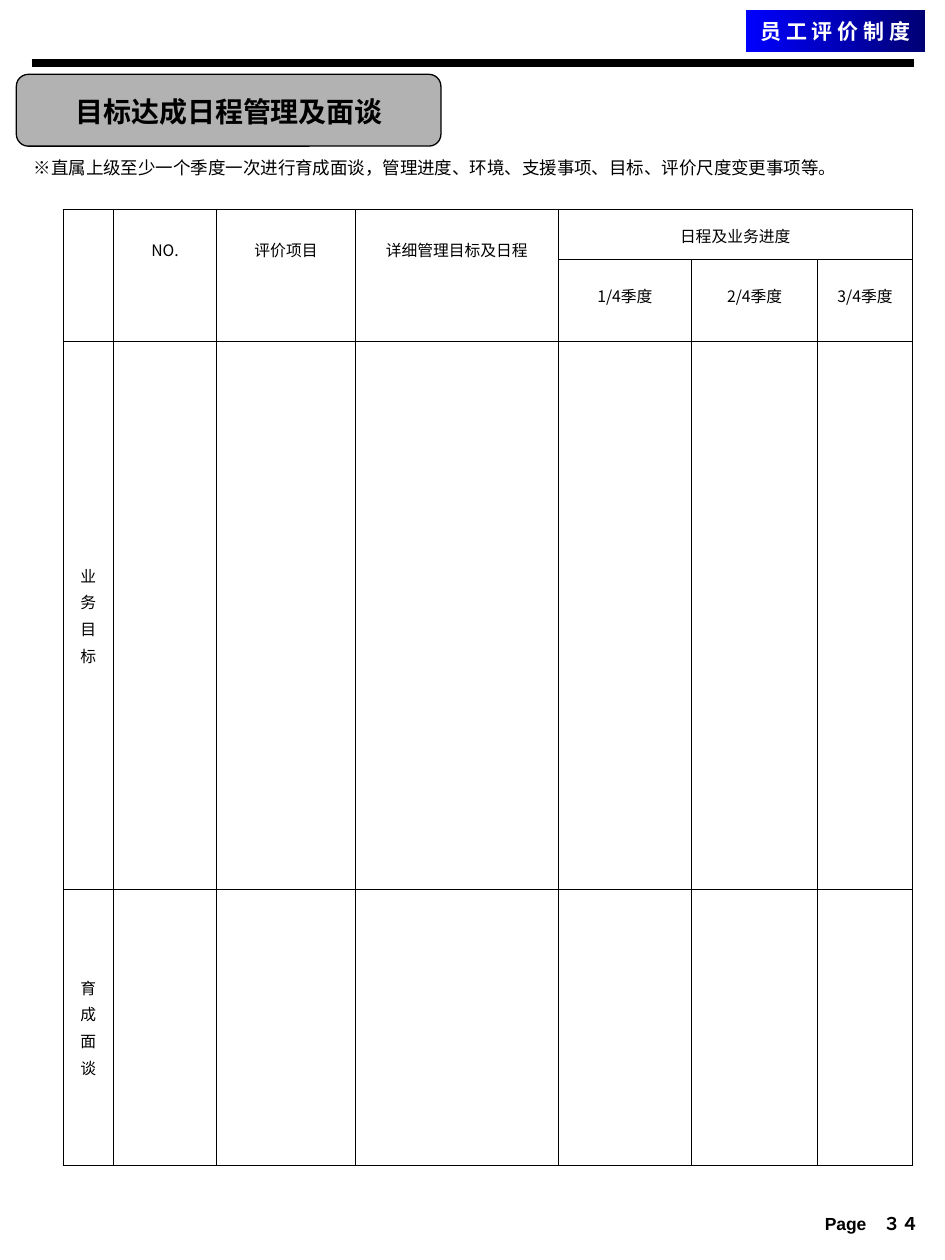
from lxml import etree
from pptx import Presentation
from pptx import util as u
from pptx.dml.color import RGBColor
from pptx.enum import shapes, text
from pptx.oxml.ns import qn

BLACK = RGBColor(0x00, 0x00, 0x00)
WHITE = RGBColor(0xFF, 0xFF, 0xFF)
GRAY = RGBColor(0xB2, 0xB2, 0xB2)
NAVY = RGBColor(0x00, 0x00, 0x75)
BLUE = RGBColor(0x00, 0x00, 0xFF)
KR = "Noto Sans CJK KR"
SC = "Noto Sans CJK SC"
CENTER = text.PP_ALIGN.CENTER
TOP = text.MSO_ANCHOR.TOP
MIDDLE = text.MSO_ANCHOR.MIDDLE

COLS = [0.4, 0.82, 1.1, 1.61, 1.06, 1, 0.75]
ROWS = [0.4, 0.65, 4.35, 2.19]
MERGES = [(0, c, 1, c) for c in range(4)] + [(0, 4, 0, 6)]
HEADINGS = [
    (0, 1, "NO.", 0.23),
    (0, 2, "评价项目", 0.23),
    (0, 3, "详细管理目标及日程", 0.23),
    (0, 4, "日程及业务进度", 0.12),
    (1, 4, "1/4季度", 0.2),
    (1, 5, "2/4季度", 0.2),
    (1, 6, "3/4季度", 0.2),
]
ROW_LABELS = [(2, "业务目标"), (3, "育成面谈")]


def inches(box):
    return [u.Inches(v) for v in box]


def add_run(p, words, size, font=KR, color=BLACK, bold=False, east=None):
    r = p.add_run()
    r.text = words
    r.font.size = u.Pt(size)
    r.font.name = font
    r.font.bold = bold
    r.font.color.rgb = color
    ea = etree.SubElement(r.font._element, qn("a:ea"))
    ea.set("typeface", east or font)


def add_text(s, box, words, size, align, **style):
    tf = s.shapes.add_textbox(*inches(box)).text_frame
    tf.word_wrap = True
    p = tf.paragraphs[0]
    p.alignment = align
    add_run(p, words, size, **style)


def add_rule(s, x1, x2, y):
    line = s.shapes.add_connector(
        shapes.MSO_CONNECTOR.STRAIGHT, *inches((x1, y, x2, y)))
    line.line.color.rgb = BLACK
    line.line.width = u.Pt(4.5)
    etree.SubElement(line._element.spPr, qn("a:effectLst"))


def add_badge(s, box):
    sp = s.shapes.add_shape(shapes.MSO_SHAPE.RECTANGLE, *inches(box))
    sp.shadow.inherit = False
    sp.line.fill.background()
    sp.fill.gradient()
    sp.fill.gradient_angle = 180
    for stop, color, pos in zip(sp.fill.gradient_stops, (NAVY, BLUE), (0, 1)):
        stop.color.rgb = color
        stop.position = pos
    tf = sp.text_frame
    tf.word_wrap = False
    tf.vertical_anchor = MIDDLE
    p = tf.paragraphs[0]
    p.alignment = CENTER
    add_run(p, "员 工 评 价 制 度", 12, SC, WHITE, True)


def add_title(s, box):
    x, y, w, h = box
    sp = s.shapes.add_shape(shapes.MSO_SHAPE.ROUNDED_RECTANGLE, *inches(box))
    sp.shadow.inherit = False
    sp.fill.solid()
    sp.fill.fore_color.rgb = GRAY
    sp.line.color.rgb = BLACK
    sp.line.width = u.Pt(0.75)

    title = s.shapes.title
    title.left, title.top, title.width, title.height = inches(
        (x + 0.05, y + 0.11, w - 0.09, h - 0.16))
    title._element.addprevious(sp._element)
    tf = title.text_frame
    tf.word_wrap = True
    tf.auto_size = text.MSO_AUTO_SIZE.NONE
    tf.vertical_anchor = TOP
    p = tf.paragraphs[0]
    p.alignment = CENTER
    add_run(p, "目标达成日程管理及面谈", 16, bold=True)


def style_cell(cell):
    tcPr = cell._tc.get_or_add_tcPr()
    for side in ("lnL", "lnR", "lnT", "lnB"):
        ln = etree.SubElement(tcPr, qn("a:" + side), w=str(u.Pt(0.45)))
        fill = etree.SubElement(ln, qn("a:solidFill"))
        etree.SubElement(fill, qn("a:srgbClr"), val=str(BLACK))
    cell.fill.background()


def add_schedule(s, x, y):
    t = s.shapes.add_table(
        len(ROWS), len(COLS), *inches((x, y, sum(COLS), sum(ROWS)))).table
    t.first_row = t.horz_banding = False
    for col, width in zip(t.columns, COLS):
        col.width = u.Inches(width)
    for row, height in zip(t.rows, ROWS):
        row.height = u.Inches(height)
        for cell in row.cells:
            style_cell(cell)
    for r1, c1, r2, c2 in MERGES:
        t.cell(r1, c1).merge(t.cell(r2, c2))

    for row, col, words, margin in HEADINGS:
        cell = t.cell(row, col)
        cell.vertical_anchor = TOP
        cell.margin_top = u.Inches(margin)
        p = cell.text_frame.paragraphs[0]
        p.alignment = CENTER
        add_run(p, words, 9)

    for row, words in ROW_LABELS:
        cell = t.cell(row, 0)
        cell.vertical_anchor = MIDDLE
        tf = cell.text_frame
        for i, char in enumerate(words):
            p = tf.add_paragraph() if i else tf.paragraphs[0]
            p.alignment = CENTER
            if i:
                p.space_before = u.Pt(2.2)
            add_run(p, char, 9)


def main():
    prs = Presentation()
    prs.slide_width, prs.slide_height = u.Inches(7.5), u.Inches(10)
    s = prs.slides.add_slide(prs.slide_layouts[5])
    add_rule(s, 0.25, 7.25, 0.5)
    add_badge(s, (5.92, 0.08, 1.42, 0.33))
    add_title(s, (0.13, 0.59, 3.37, 0.57))
    add_schedule(s, 0.5, 1.66)
    add_text(s, (0.17, 1.2, 6.58, 0.27),
             "※直属上级至少一个季度一次进行育成面谈，管理进度、环境、支援事项、目标、评价尺度变更事项等。",
             10, text.PP_ALIGN.LEFT)
    add_text(s, (5.83, 9.58, 1.56, 0.25), "Page　３４", 10,
             text.PP_ALIGN.RIGHT, font="Arial", bold=True, east=KR)
    prs.save("out.pptx")


if __name__ == "__main__":
    main()
